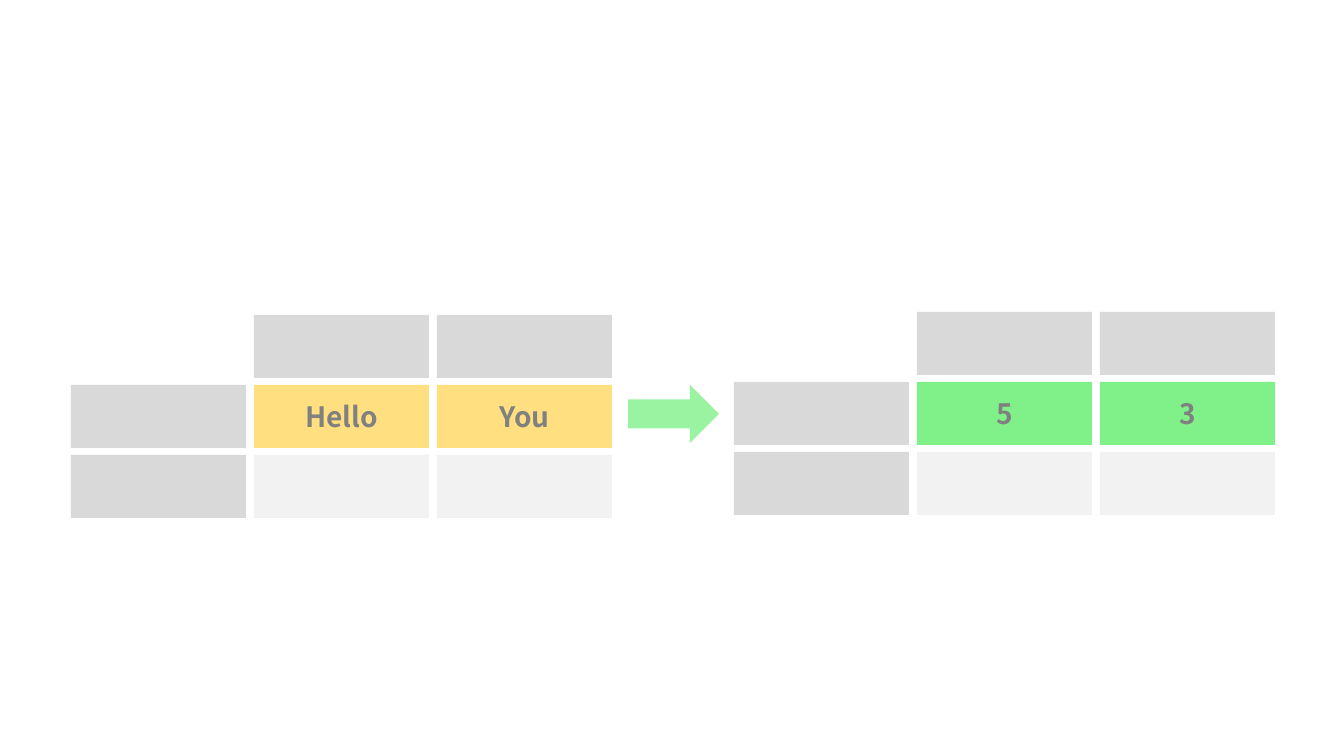
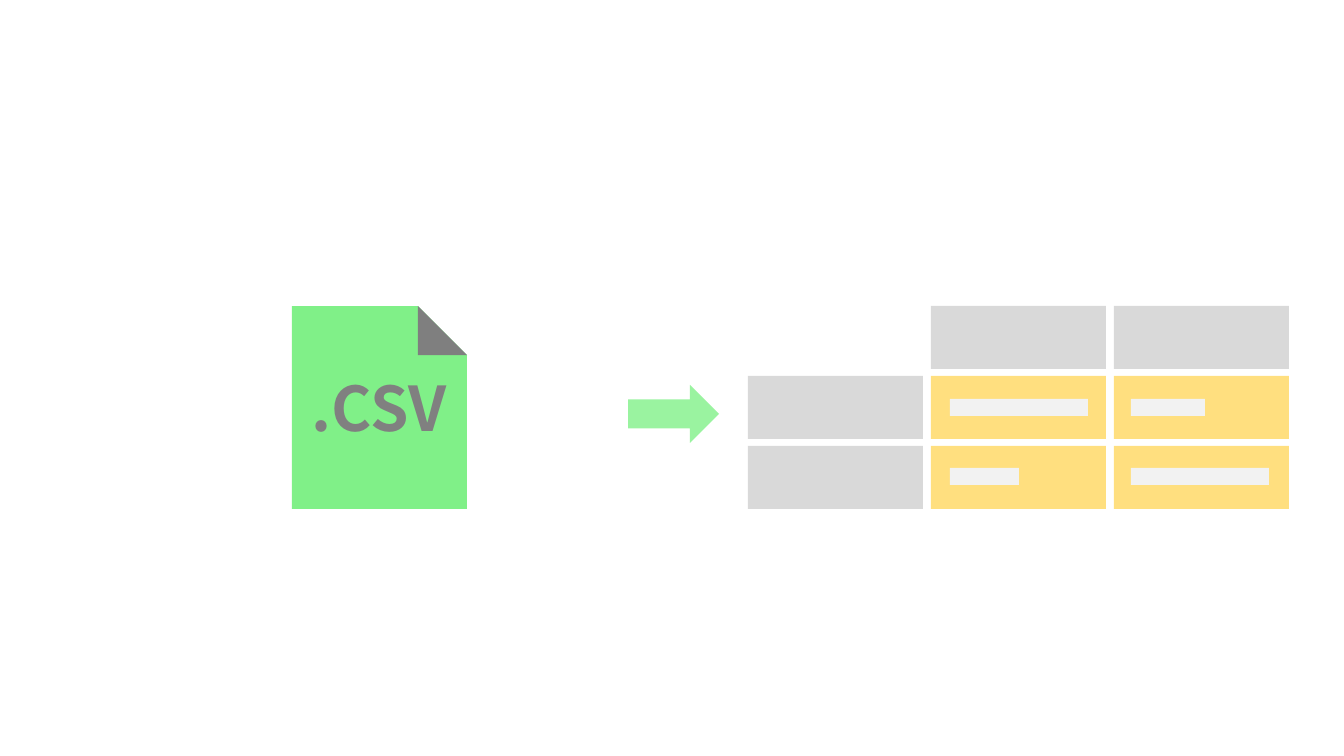
from lxml import etree
from pptx import Presentation
from pptx.dml.color import RGBColor
from pptx.enum import shapes, text
from pptx.oxml.ns import qn
from pptx.util import Pt

PX = 12192000 / 1344
SLIDE_SIZE = (1344, 756)
FONT = "Noto Sans CJK SC"
COLORS = {"header": "D9D9D9", "empty": "F2F2F2", "input": "FFC000", "output": "03E313",
          "arrow": "03E313", "text": "808080", "paper": "FFFFFF", "fold": "7F7F7F"}
OPACITY = {"input": 50, "output": 50, "arrow": 40}  # percent

CELL = (175, 63)
PITCH = (183, 70)
ARROW = (628, 385, 91, 58)

# Body rows of each table: (fill, label) per cell
BLANK_ROW = [("empty", "")] * 2
FILLED_ROW = [("input", "")] * 2
SLIDES = [
    {"tables": [
        {"origin": (71, 315), "body": [[("input", "Hello"), ("input", "You")], BLANK_ROW]},
        {"origin": (734, 312), "body": [[("output", "5"), ("output", "3")], BLANK_ROW]}]},
    {"file": {"box": (292, 306, 175, 203), "fold": 49, "label": ".CSV",
              "label_box": (155, 365, 449, 85)},
     "tables": [
         {"origin": (748, 306), "body": [FILLED_ROW, FILLED_ROW],
          "bars": [(950, 399, 138, 17), (1131, 399, 74, 17),
                   (950, 468, 69, 17), (1131, 468, 138, 17)]}]},
]


def emu(lengths):
    return [round(length * PX) for length in lengths]


def write(shape, label, size):
    frame = shape.text_frame
    frame.word_wrap = True
    paragraph = frame.paragraphs[0]
    paragraph.text = label
    paragraph.alignment = text.PP_ALIGN.CENTER
    for name, value in {"name": FONT, "size": Pt(size), "bold": True}.items():
        setattr(paragraph.font, name, value)
    paragraph.font.color.rgb = RGBColor.from_string(COLORS["text"])


def add_block(parent, box, fill, label="", kind=shapes.MSO_SHAPE.RECTANGLE):
    shape = parent.shapes.add_shape(kind, *emu(box))
    shape.shadow.inherit = False
    shape.line.fill.background()
    shape.fill.solid()
    shape.fill.fore_color.rgb = RGBColor.from_string(COLORS[fill])
    if fill in OPACITY:
        color = shape.fill._xPr.find(".//" + qn("a:srgbClr"))
        etree.SubElement(color, qn("a:alpha"), val=str(OPACITY[fill] * 1000))
    if label:
        write(shape, label, 20)
        shape.text_frame.vertical_anchor = text.MSO_ANCHOR.MIDDLE
    return shape


def add_grid(slide, origin, body, bars=()):
    group = slide.shapes.add_group_shape()
    header = ("header", "")
    # The top-left corner of the grid stays open
    rows = [[None, header, header]] + [[header, *cells] for cells in body]
    for row, cells in enumerate(rows):
        for column, cell in enumerate(cells):
            if cell:
                left = origin[0] + column * PITCH[0]
                top = origin[1] + row * PITCH[1]
                add_block(group, (left, top, *CELL), *cell)
    for bar in bars:
        add_block(group, bar, "empty")


def add_file(slide, box, fold, label, label_box):
    group = slide.shapes.add_group_shape()
    add_block(group, box, "output")
    write(group.shapes.add_textbox(*emu(label_box)), label, 44)
    # Folded corner: a cut-away half and a dark flap
    corner = (box[0] + box[2] - fold, box[1], fold, fold)
    for fill, rotation in (("paper", 180), ("fold", 0)):
        triangle = add_block(group, corner, fill, kind=shapes.MSO_SHAPE.RIGHT_TRIANGLE)
        triangle.rotation = rotation


def main():
    presentation = Presentation()
    presentation.slide_width, presentation.slide_height = emu(SLIDE_SIZE)
    for content in SLIDES:
        slide = presentation.slides.add_slide(presentation.slide_layouts[6])
        add_block(slide, ARROW, "arrow", kind=shapes.MSO_SHAPE.RIGHT_ARROW)
        if "file" in content:
            add_file(slide, **content["file"])
        for table in content["tables"]:
            add_grid(slide, **table)
    presentation.save("out.pptx")


if __name__ == "__main__":
    main()
